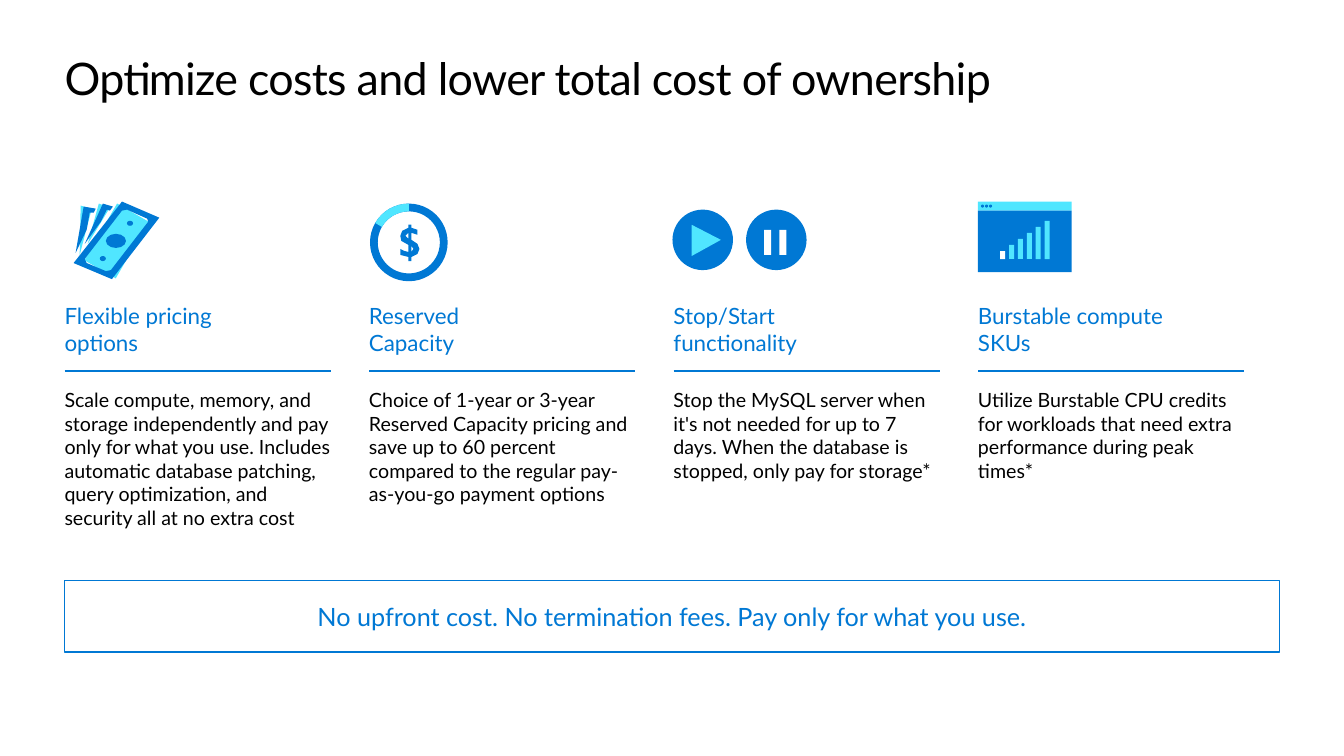
from dataclasses import dataclass
from lxml import etree
from pptx import Presentation
from pptx import util as u
from pptx.dml.color import RGBColor
from pptx.enum import shapes, text

SHAPE = shapes.MSO_SHAPE
ALIGN = text.PP_ALIGN
MID = text.MSO_ANCHOR.MIDDLE
TOP = text.MSO_ANCHOR.TOP


@dataclass(frozen=True)
class Theme:
    """Colours, font and type sizes of the slide."""
    font: str = "Lato"
    ink: str = "000000"
    blue: str = "0078D4"
    cyan: str = "50E6FF"
    white: str = "FFFFFF"
    title: int = 32
    note: int = 18
    head: int = 16
    body: int = 14


LOOK = Theme()


def tint(hue):
    """Turn a hex string into a colour."""
    return RGBColor.from_string(hue)


def write(shape, words, size, hue, align=ALIGN.LEFT, anchor=TOP, inset=0):
    """Set and format the text of a shape."""
    frame = shape.text_frame
    frame.text = words
    frame.word_wrap = True
    frame.vertical_anchor = anchor
    frame.margin_left = frame.margin_right = u.Inches(inset)
    frame.margin_top = frame.margin_bottom = u.Inches(inset)
    for para in frame.paragraphs:
        para.alignment = align
        for run in para.runs:
            run.font.name = LOOK.font
            run.font.size = u.Pt(size)
            run.font.color.rgb = tint(hue)


def label(slide, box, words, size, hue):
    """Add a text box."""
    write(slide.shapes.add_textbox(*map(u.Inches, box)), words, size, hue)


class Icon:
    """A group drawn in hundredths of an inch from its corner."""

    def __init__(self, slide, left, top):
        """Start an empty group at a corner."""
        self.group = slide.shapes.add_group_shape().shapes
        self.left, self.top = left, top

    def paint(self, shape, hue):
        """Fill a shape and drop its line and shadow."""
        shape.fill.solid()
        shape.fill.fore_color.rgb = tint(hue)
        shape.line.fill.background()
        shape.shadow.inherit = False
        return shape

    def add(self, kind, hue, x, y, wide, high):
        """Add a preset shape."""
        spot = (self.left + x / 100, self.top + y / 100, wide / 100, high / 100)
        return self.paint(self.group.add_shape(kind, *map(u.Inches, spot)), hue)

    def trace(self, hue, *loops):
        """Add an outline made of closed loops."""
        pen = self.group.build_freeform(*loops[0][0], scale=u.Inches(0.01))
        pen.add_line_segments(loops[0][1:], close=True)
        for loop in loops[1:]:
            pen.move_to(*loop[0])
            pen.add_line_segments(loop[1:], close=True)
        self.paint(pen.convert_to_shape(u.Inches(self.left), u.Inches(self.top)), hue)


def cash(icon):
    """Draw a fan of bank notes."""
    icon.add(SHAPE.RECTANGLE, LOOK.cyan, 19, 21, 65, 36).rotation = 300
    icon.trace(LOOK.cyan, [(15, 53), (27, 7), (16, 4)])
    icon.trace(LOOK.cyan, [(23, 42), (45, 6), (34, 2)])
    icon.trace(LOOK.blue, [(57, 0), (94, 16), (47, 77), (9, 61)],
               [(62, 8), (57, 9), (20, 57), (22, 61),
                (41, 69), (46, 68), (83, 20), (82, 17)])
    icon.trace(LOOK.blue, [(38, 2), (48, 5), (45, 9), (42, 8), (36, 20), (20, 42)])
    icon.trace(LOOK.blue, [(19, 5), (31, 7), (29, 11), (25, 11), (22, 28), (11, 51)])
    for spot in ((62, 19, 6, 5), (41, 32, 20, 14), (35, 54, 6, 5)):
        icon.add(SHAPE.OVAL, LOOK.blue, *spot)


def coin(icon):
    """Draw a dollar sign in a ring."""
    ring = (1, 2, 77, 77)
    icon.add(SHAPE.DONUT, LOOK.blue, *ring).adjustments[0] = 0.1
    arc = icon.add(SHAPE.BLOCK_ARC, LOOK.cyan, *ring)
    for i, value in enumerate((126, 162, 0.1)):
        arc.adjustments[i] = value
    icon.trace(LOOK.blue,
               [(50, 47), (48, 52), (42, 55), (42, 59), (39, 59), (39, 55),
                (31, 53), (31, 47), (35, 49), (39, 50), (39, 43), (32, 39),
                (31, 34), (33, 29), (39, 26), (39, 23), (42, 23), (42, 26),
                (48, 28), (48, 33), (42, 31), (42, 38), (48, 42)],
               [(39, 37), (39, 31), (36, 34)],
               [(44, 47), (42, 44), (42, 50)])


def keys(icon):
    """Draw the play and pause buttons."""
    for x in (-1, 72):
        icon.add(SHAPE.OVAL, LOOK.blue, x, 8, 60, 60)
    icon.trace(LOOK.cyan, [(47, 38), (18, 54), (18, 23)])
    for x in (90, 105):
        icon.add(SHAPE.RECTANGLE, LOOK.white, x, 28, 7, 25)


def screen(icon):
    """Draw a window with rising bars."""
    icon.add(SHAPE.RECTANGLE, LOOK.cyan, 0, 0, 93, 9)
    icon.add(SHAPE.RECTANGLE, LOOK.blue, 0, 9, 93, 61)
    for x in (3, 7, 11):
        icon.add(SHAPE.OVAL, LOOK.blue, x, 3, 3, 3)
    for i in range(6):
        high = 8 + 6 * i
        hue = LOOK.cyan if i else LOOK.white
        icon.add(SHAPE.RECTANGLE, hue, 22 + 8.8 * i, 57 - high, 5, high)


def column(slide, left, top, wide, draw, head, body):
    """Place an icon, a heading, a rule and a body text."""
    label(slide, (left, top + 1, 2, 0.54), head, LOOK.head, LOOK.blue)
    label(slide, (left, top + 1.85, wide, 1.65), body, LOOK.body, LOOK.ink)
    ends = (left, top + 1.68, left + wide, top + 1.68)
    rule = slide.shapes.add_connector(shapes.MSO_CONNECTOR.STRAIGHT, *map(u.Inches, ends))
    rule.line.color.rgb = tint(LOOK.blue)
    rule.line.width = u.Pt(1)
    space = "{http://schemas.openxmlformats.org/drawingml/2006/main}"
    etree.SubElement(rule._element.spPr, space + "effectLst")
    draw(Icon(slide, left, top))


def banner(slide, box, words):
    """Add the framed line at the foot."""
    frame = slide.shapes.add_shape(SHAPE.RECTANGLE, *map(u.Inches, box))
    frame.shadow.inherit = False
    frame.fill.background()
    frame.line.color.rgb = tint(LOOK.blue)
    frame.line.width = u.Pt(1)
    write(frame, words, LOOK.note, LOOK.blue, ALIGN.CENTER, MID, 0.2)


def header(slide, box, words):
    """Move and format the title."""
    title = slide.shapes.title
    title.left, title.top, title.width, title.height = map(u.Inches, box)
    write(title, words, LOOK.title, LOOK.ink)
    title.text_frame.auto_size = text.MSO_AUTO_SIZE.NONE
    title.text_frame.paragraphs[0].runs[0].font._element.set("spc", "-50")


COLUMNS = (
    (cash, "Flexible pricing\voptions",
     "Scale compute, memory, and storage independently and pay only for what you use. "
     "Includes automatic database patching, query optimization, and security all at no extra cost"),
    (coin, "Reserved\vCapacity",
     "Choice of 1-year or 3-year Reserved Capacity pricing and save up to 60 percent "
     "compared to the regular pay-as-you-go payment options"),
    (keys, "Stop/Start functionality",
     "Stop the MySQL server when it's not needed for up to 7 days. "
     "When the database is stopped, only pay for storage*"),
    (screen, "Burstable compute SKUs",
     "Utilize Burstable CPU credits for workloads that need extra performance during peak times*"),
)


def main():
    """Build and save the slide."""
    deck = Presentation()
    deck.slide_width, deck.slide_height = u.Inches(13.33), u.Inches(7.5)
    slide = deck.slides.add_slide(deck.slide_layouts[5])
    left, wide, gap = 0.64, 2.64, 0.38
    header(slide, (left, 0.5, 12.05, 0.54), "Optimize costs and lower total cost of ownership")
    for i, item in enumerate(COLUMNS):
        column(slide, left + i * (wide + gap), 2, wide, *item)
    banner(slide, (left, 5.76, 12.05, 0.71),
           "No upfront cost. No termination fees. Pay only for what you use.")
    deck.save("out.pptx")


if __name__ == "__main__":
    main()
